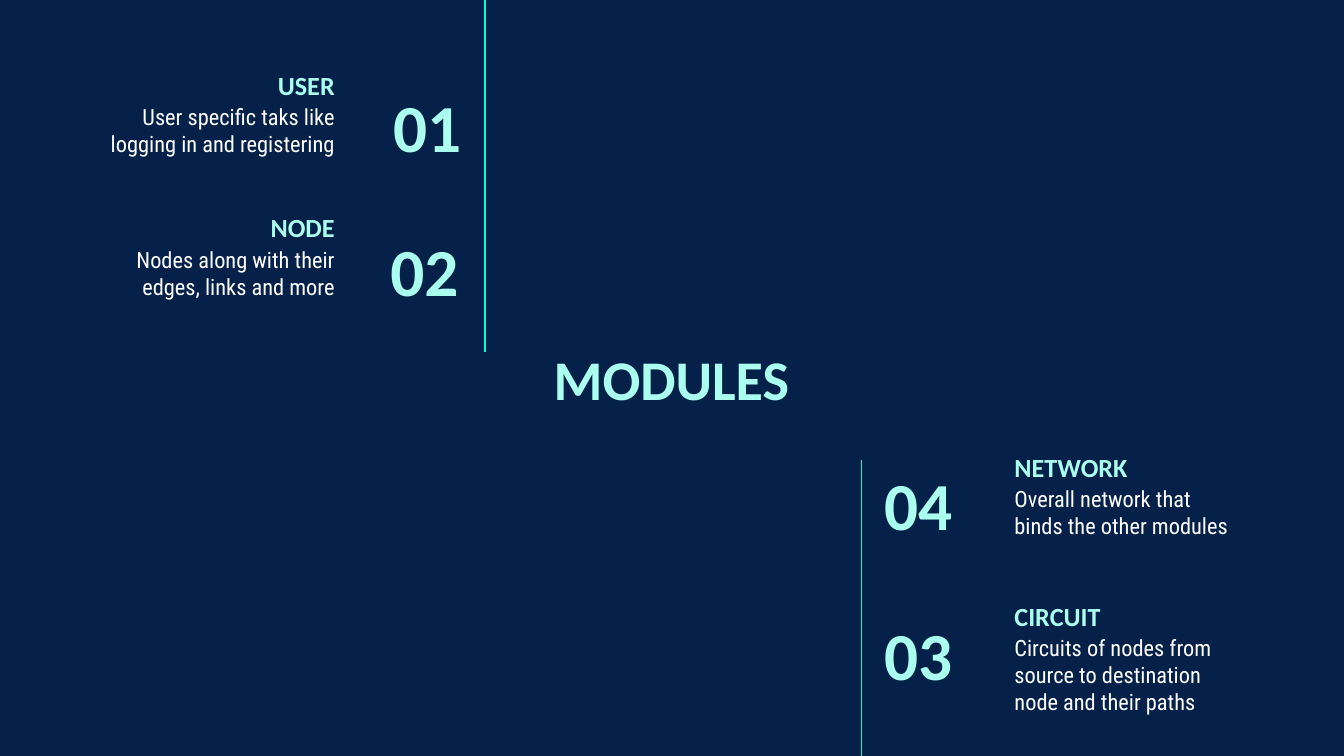
from dataclasses import dataclass

import pptx
import pptx.dml.color
import pptx.enum.shapes
import pptx.enum.text
import pptx.oxml
import pptx.oxml.ns
import pptx.slide
import pptx.util

PX = 4572  # EMU per px, 200 px to the inch
WIDTH, HEIGHT = 2000, 1125
NAVY, MINT, TEAL, WHITE = "05214A", "AAFFEE", "00FFCD", "FFFFFF"
HEADING_FONT, BODY_FONT = "Calibri", "Roboto Condensed"
BOX_H, HEADING_W, BODY_DROP, INSET = 126, 432, 90, 20
LEFT_EDGE, RIGHT_EDGE = 1490, 518  # text edges of the two columns

ALIGN = pptx.enum.text.PP_ALIGN
ANCHOR = pptx.enum.text.MSO_ANCHOR


@dataclass
class Module:
    number: str
    name: str
    description: str
    on_left: bool
    top: int
    body_w: int
    number_x: int
    number_y: int
    number_w: int


@dataclass
class Line:
    x: int
    top: int
    bottom: int


MODULES = [
    Module("01", "USER", "User specific taks like logging in and registering",
           True, 44, 382, 464, 124, 242),
    Module("02", "NODE", "Nodes along with their edges, links and more",
           True, 256, 366, 460, 338, 242),
    Module("04", "NETWORK", "Overall network that binds the other modules",
           False, 612, 366, 1296, 686, 234),
    Module("03", "CIRCUIT", "Circuits of nodes from source to destination node and their paths",
           False, 834, 366, 1296, 910, 234),
]
LINES = [Line(722, 0, 524), Line(1282, 684, 1128)]


def px(n: int) -> pptx.util.Emu:
    return pptx.util.Emu(n * PX)


def rgb(code: str) -> pptx.dml.color.RGBColor:
    return pptx.dml.color.RGBColor.from_string(code)


def add_text(s: pptx.slide.Slide, text: str, x: int, y: int, w: int, h: int, size: int,
             align: ALIGN, anchor: ANCHOR = ANCHOR.MIDDLE, font: str = HEADING_FONT,
             color: str = MINT, bold: bool = True) -> None:
    tf = s.shapes.add_textbox(px(x), px(y), px(w), px(h)).text_frame
    tf.word_wrap = True
    tf.vertical_anchor = anchor
    tf.margin_left = tf.margin_right = tf.margin_top = tf.margin_bottom = px(INSET)
    tf.text = text
    p = tf.paragraphs[0]
    p.alignment = align
    r = p.runs[0]
    r.font.name = font
    r.font.size = pptx.util.Pt(size)
    r.font.bold = bold
    r.font.color.rgb = rgb(color)


def add_module(s: pptx.slide.Slide, m: Module) -> None:
    align = ALIGN.RIGHT if m.on_left else ALIGN.LEFT
    heading_x = RIGHT_EDGE - HEADING_W if m.on_left else LEFT_EDGE
    body_x = RIGHT_EDGE - m.body_w if m.on_left else LEFT_EDGE
    add_text(s, m.name, heading_x, m.top, HEADING_W, BOX_H, 14, align, ANCHOR.BOTTOM)
    add_text(s, m.description, body_x, m.top + BODY_DROP, m.body_w, BOX_H, 12, align,
             ANCHOR.TOP, BODY_FONT, WHITE, False)
    add_text(s, m.number, m.number_x, m.number_y, m.number_w, BOX_H, 36, align)


def add_line(s: pptx.slide.Slide, line: Line) -> None:
    c = s.shapes.add_connector(pptx.enum.shapes.MSO_CONNECTOR.STRAIGHT,
                               px(line.x), px(line.top), px(line.x), px(line.bottom))
    c.line.color.rgb = rgb(TEAL)
    c.line.width = pptx.util.Pt(0.75)
    sp_pr = c._element.spPr
    sp_pr.append(pptx.oxml.parse_xml(f"<a:effectLst {pptx.oxml.ns.nsdecls('a')}/>"))


def main() -> None:
    prs = pptx.Presentation()
    prs.slide_width, prs.slide_height = px(WIDTH), px(HEIGHT)
    s = prs.slides.add_slide(prs.slide_layouts[6])
    s.background.fill.solid()
    s.background.fill.fore_color.rgb = rgb(NAVY)

    # Title
    add_text(s, "MODULES", 740, 460, 518, 206, 30, ALIGN.CENTER)

    # Numbered modules
    for m in MODULES:
        add_module(s, m)

    # Vertical rules
    for line in LINES:
        add_line(s, line)

    prs.save("out.pptx")


if __name__ == "__main__":
    main()
